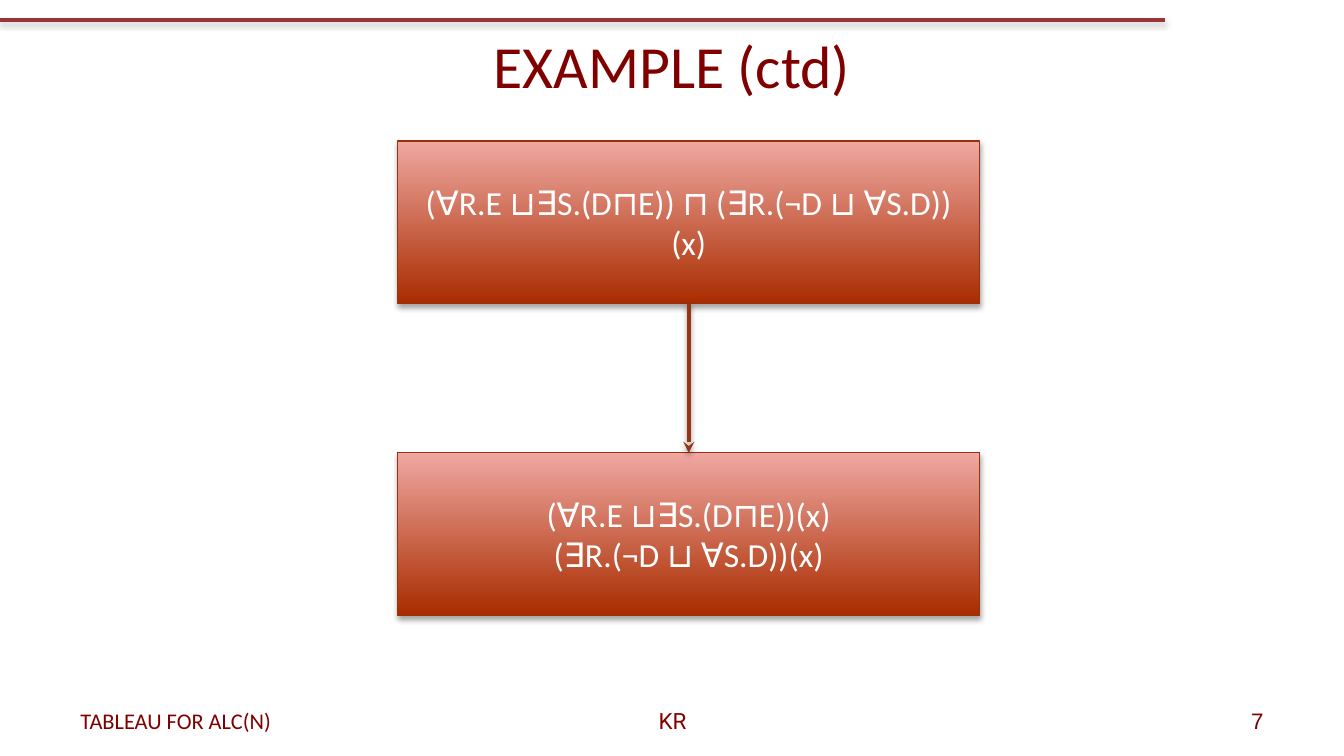
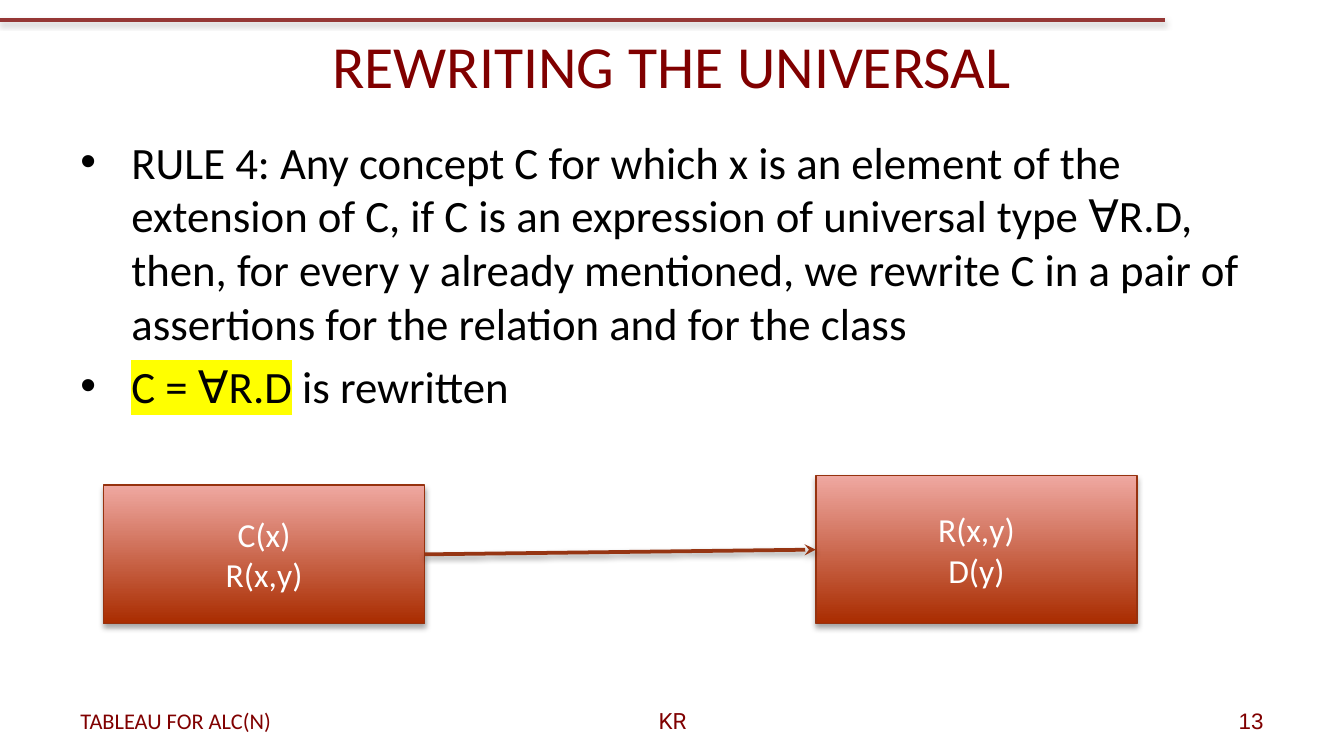
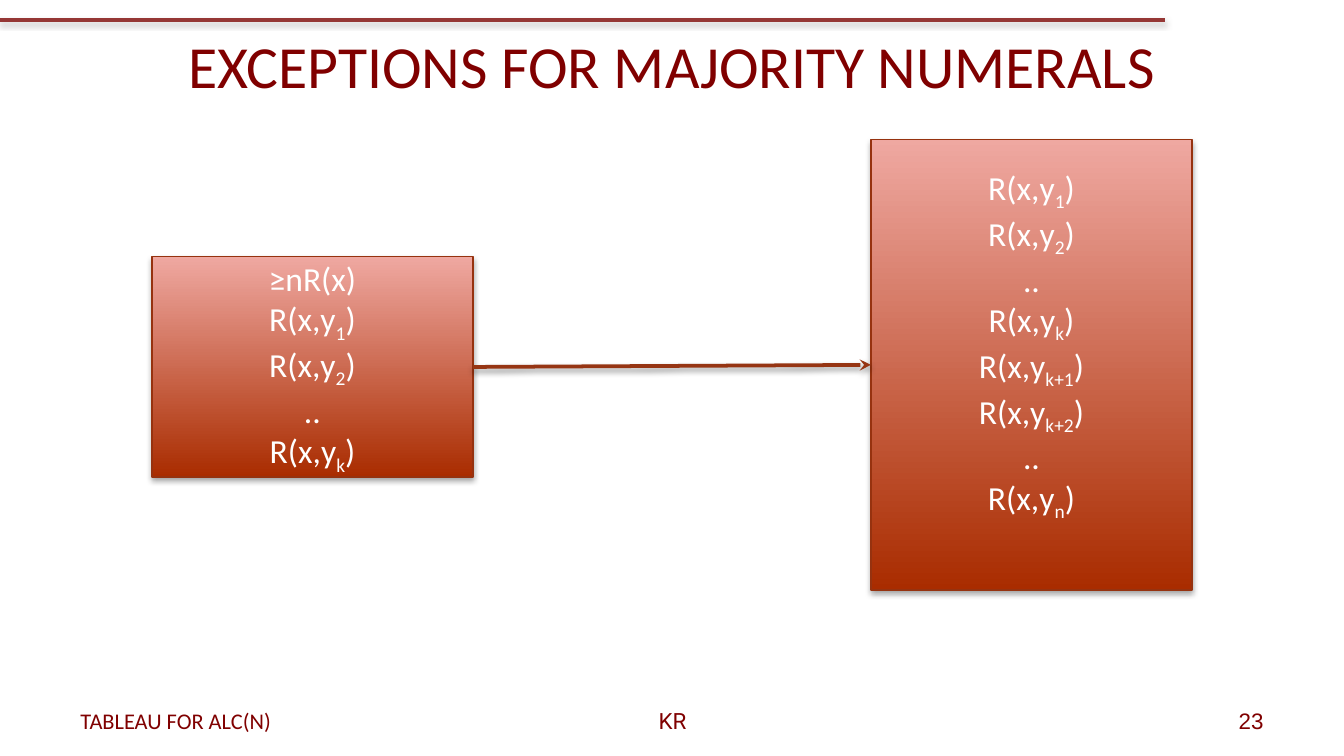
from dataclasses import dataclass
from lxml.etree import SubElement
from pptx import Presentation
from pptx.dml.color import RGBColor
from pptx.enum.shapes import MSO_CONNECTOR, MSO_SHAPE
from pptx.enum.text import MSO_ANCHOR, PP_ALIGN
from pptx.oxml.ns import qn
from pptx.util import Inches, Pt


@dataclass(frozen=True)
class Theme:
    head: str = "800000"
    text: str = "000000"
    rule: str = "953735"
    haze: str = "808080"
    dark: str = "A92C00"
    pale: str = "EFA8A1"
    edge: str = "96320F"
    arrow: str = "963513"
    light: str = "FFFFFF"
    mark: str = "FFFF00"
    font: str = "Calibri"
    big: int = 32
    body: int = 24
    node: int = 18
    small: int = 12


T = Theme()
LEFT, MID, RIGHT = PP_ALIGN.LEFT, PP_ALIGN.CENTER, PP_ALIGN.RIGHT


def rel(sub):
    return [("R(x,y", ""), (sub, "sub"), (")", "")]


# Content: a paragraph is a string or a list of (text, style) runs.
# Places are left, top, width, height in percent of the slide.
SLIDES = [
    dict(num="7", title="EXAMPLE (ctd)", flow="down", nodes=[
        ((29.6, 18.67, 43.3, 21.5), ["(∀R.E ⊔∃S.(D⊓E)) ⊓ (∃R.(¬D ⊔ ∀S.D))(x)"], 0),
        ((29.6, 59.9, 43.3, 21.5), ["(∀R.E ⊔∃S.(D⊓E))(x)", "(∃R.(¬D ⊔ ∀S.D))(x)"], 0),
    ]),
    dict(num="13", title="REWRITING THE UNIVERSAL", flow="right", body=[
        "RULE 4: Any concept C for which x is an element of the extension of C, "
        "if C is an expression of universal type ∀R.D, then, for every y already "
        "mentioned, we rewrite C in a pair of assertions for the relation and for the class",
        [("C = ∀R.D", "mark"), (" is rewritten", "")],
    ], nodes=[
        ((7.7, 64.18, 23.9, 18.31), ["C(x)", "R(x,y)"], 0),
        ((60.7, 62.93, 23.9, 19.56), ["R(x,y)", "D(y)"], 0),
    ]),
    dict(num="23", title="EXCEPTIONS FOR MAJORITY NUMERALS", flow="right", nodes=[
        ((11.3, 33.96, 23.9, 29.16), ["≥nR(x)", rel("1"), rel("2"), "..", rel("k")], 0),
        ((64.8, 18.49, 23.9, 59.56),
         [rel("1"), rel("2"), "..", rel("k"), rel("k+1"), rel("k+2"), "..", rel("n")], 0.3),
    ]),
]
TITLE = (5, 0.2, 90, 16.7)
BODY = (5, 16.9, 90, 46)
FOOT = [  # left, width, text (None for the slide number), align, font
    (5, 27.3, "TABLEAU FOR ALC(N)", LEFT, T.font),
    (34.2, 31.7, "KR", MID, "Roboto"),
    (71.7, 23.3, None, RIGHT, "Arial"),
]
FOOT_Y, FOOT_H = 92.62, 5.33
RULE_X, RULE_Y = 86.7, 2.67
SITES = {"down": (2, 0), "right": (3, 1)}  # rectangle sites: top, left, bottom, right

deck = Presentation()
deck.slide_width = Inches(10)
deck.slide_height = Inches(10) * 9 // 16


def across(pct):
    return round(deck.slide_width * pct / 100)


def down(pct):
    return round(deck.slide_height * pct / 100)


def area(place):
    x, y, w, h = place
    return across(x), down(y), across(w), down(h)


def rgb(code):
    return RGBColor.from_string(code)


# Text
def write(frame, paras, size, color, align=LEFT, font=T.font, bullet=False):
    frame.word_wrap = True
    for i, runs in enumerate(paras):
        para = frame.add_paragraph() if i else frame.paragraphs[0]
        para.alignment = align
        if bullet:
            if i:
                para.space_before = Pt(size * 0.2)
            props = para._p.get_or_add_pPr()
            props.set("marL", str(Inches(0.38)))
            props.set("indent", str(-Inches(0.38)))
            SubElement(props, qn("a:buFont"), typeface="Arial")
            SubElement(props, qn("a:buChar"), char="•")
        for text, style in [(runs, "")] if isinstance(runs, str) else runs:
            run = para.add_run()
            run.text = text
            run.font.size = Pt(size)
            run.font.color.rgb = rgb(color)
            props = run._r.get_or_add_rPr()
            if style == "sub":
                props.set("baseline", "-25000")
            if style == "mark":
                glow = SubElement(props, qn("a:highlight"))
                SubElement(glow, qn("a:srgbClr"), val=T.mark)
            run.font.name = font


def label(slide, place, paras, size, color, anchor=MSO_ANCHOR.MIDDLE, **look):
    frame = slide.shapes.add_textbox(*area(place)).text_frame
    frame.vertical_anchor = anchor
    write(frame, paras, size, color, **look)


# Shapes
def shade(effects, color, alpha, dist):
    cast = SubElement(effects, qn("a:outerShdw"), blurRad=str(Pt(3.1)),
                      dist=str(Pt(dist)), dir="5400000", rotWithShape="0")
    tint = SubElement(cast, qn("a:srgbClr"), val=color)
    SubElement(tint, qn("a:alpha"), val=str(alpha * 1000))


def stroke(slide, start, end, color, haze):
    line = slide.shapes.add_connector(MSO_CONNECTOR.STRAIGHT, *start, *end)
    line.line.color.rgb = rgb(color)
    line.line.width = Pt(2)
    shade(SubElement(line.element.spPr, qn("a:effectLst")), haze, 38, 1.6)
    return line


def node(slide, place, paras, lift):
    box = slide.shapes.add_shape(MSO_SHAPE.RECTANGLE, *area(place))
    box.fill.gradient()
    box.fill.gradient_angle = 90
    for stop, color in zip(box.fill.gradient_stops, (T.dark, T.pale)):
        stop.color.rgb = rgb(color)
    box.line.color.rgb = rgb(T.edge)
    box.line.width = Pt(0.75)
    box.shadow.inherit = False
    shade(box.element.spPr.find(qn("a:effectLst")), T.text, 35, 1.8)
    frame = box.text_frame
    frame.vertical_anchor = MSO_ANCHOR.MIDDLE
    frame.margin_bottom = Inches(0.05 + lift)
    write(frame, paras, T.node, T.light, MID)
    return box


def link(slide, first, last, flow):
    line = stroke(slide, (0, 0), (0, 0), T.arrow, T.text)
    out, into = SITES[flow]
    line.begin_connect(first, out)
    line.end_connect(last, into)
    SubElement(line.line._get_or_add_ln(), qn("a:tailEnd"), type="stealth", w="med", len="med")


# Slides
def build(item):
    slide = deck.slides.add_slide(deck.slide_layouts[6])
    stroke(slide, (0, down(RULE_Y)), (across(RULE_X), down(RULE_Y)), T.rule, T.haze)
    label(slide, TITLE, [item["title"]], T.big, T.head, align=MID)
    if "body" in item:
        label(slide, BODY, item["body"], T.body, T.text, MSO_ANCHOR.TOP, bullet=True)
    for x, w, text, align, font in FOOT:
        label(slide, (x, FOOT_Y, w, FOOT_H), [text or item["num"]], T.small, T.head,
              align=align, font=font)
    first, last = [node(slide, *part) for part in item["nodes"]]
    link(slide, first, last, item["flow"])


def main():
    for item in SLIDES:
        build(item)
    deck.save("out.pptx")


if __name__ == "__main__":
    main()
